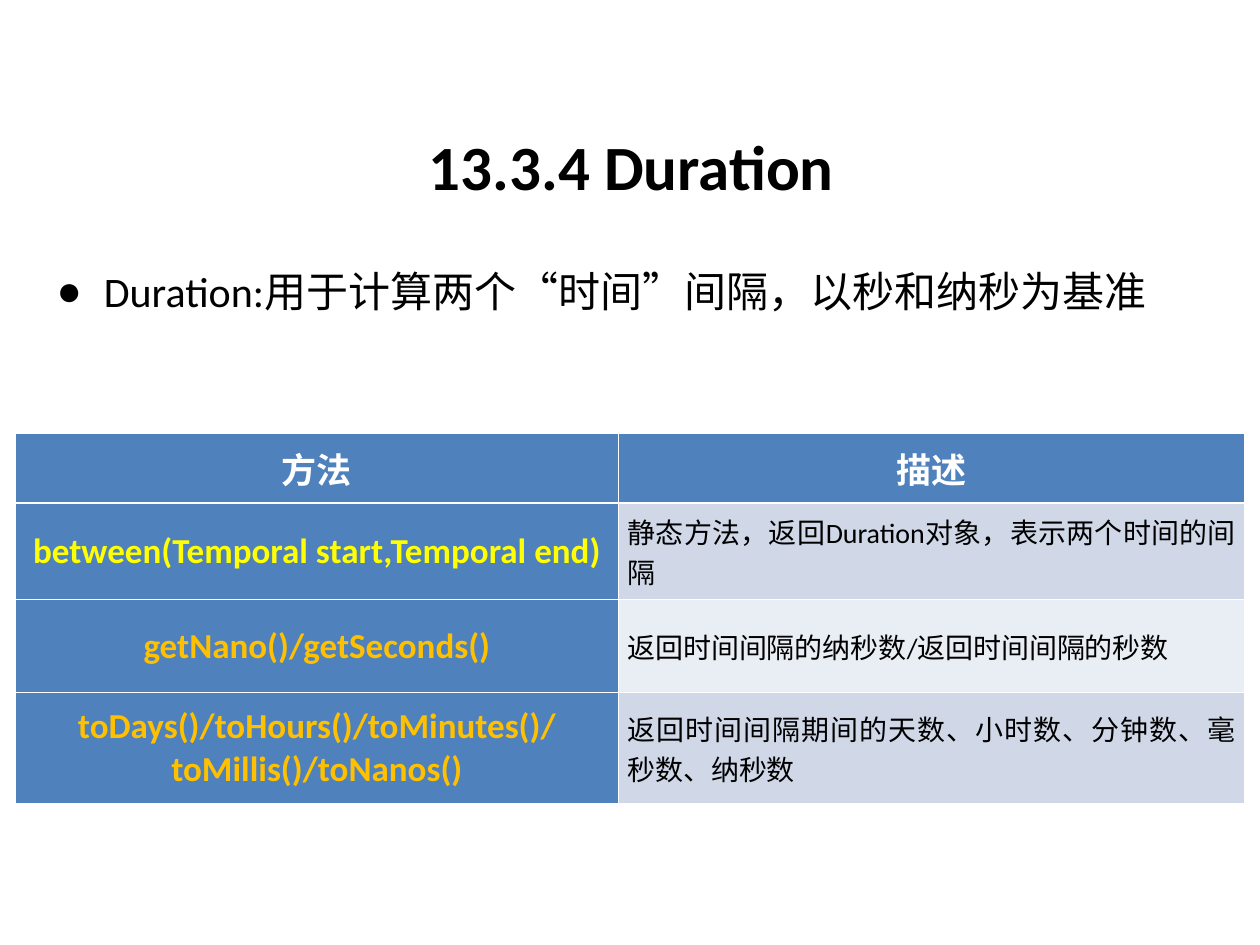
from lxml import etree
from pptx import Presentation
from pptx.dml.color import RGBColor
from pptx.enum.text import MSO_ANCHOR as ANCHOR, PP_ALIGN as ALIGN
from pptx.oxml.ns import qn
from pptx.util import Cm, Pt


def rgb(color):
    return RGBColor.from_string(color)


def set_font(p, size, color, bold=False):
    p.font.name = "Calibri"
    p.font.size = Pt(size)
    p.font.bold = bold
    p.font.color.rgb = rgb(color)


prs = Presentation()
prs.slide_width, prs.slide_height = Cm(25.4), Cm(19.05)
s = prs.slides.add_slide(prs.slide_layouts[1])

title = s.shapes.title
title.left, title.top, title.width, title.height = Cm(1.3), Cm(2.13), Cm(22.86), Cm(2.39)
tf = title.text_frame
tf.text = "13.3.4 Duration"
tf.vertical_anchor = ANCHOR.MIDDLE
p = tf.paragraphs[0]
p.alignment = ALIGN.CENTER
set_font(p, 36, "000000", True)

body = s.placeholders[1]
body.left, body.top, body.width, body.height = Cm(0.89), Cm(4.72), Cm(23.39), Cm(2.01)
tf = body.text_frame
tf.text = "Duration:用于计算两个“时间”间隔，以秒和纳秒为基准"
p = tf.paragraphs[0]
p.line_spacing = 1.5
set_font(p, 24, "000000")
pPr = p._p.get_or_add_pPr()
pPr.set("marL", str(Cm(0.95)))
pPr.set("indent", str(-Cm(0.95)))
bullet = etree.Element(qn("a:buChar"), char="●")
pPr.insert_element_before(bullet, "a:tabLst", "a:defRPr", "a:extLst")

rows = [
    ("方法", "描述", "FFFFFF", "4F81BD"),
    ("between(Temporal start,Temporal end)",
     "静态方法，返回Duration对象，表示两个时间的间隔", "FFFF00", "D0D8E8"),
    ("getNano()/getSeconds()",
     "返回时间间隔的纳秒数/返回时间间隔的秒数", "FFC000", "E9EDF4"),
    ("toDays()/toHours()/toMinutes()/\ntoMillis()/toNanos()",
     "返回时间间隔期间的天数、小时数、分钟数、毫秒数、纳秒数", "FFC000", "D0D8E8"),
]
col_widths = [12.16, 12.63]
row_heights = [1.4, 1.95, 1.87, 2.25]

table = s.shapes.add_table(len(rows), 2, Cm(0.31), Cm(8.74),
                           Cm(sum(col_widths)), Cm(sum(row_heights))).table
table.first_col = True
for col, width in zip(table.columns, col_widths):
    col.width = Cm(width)

for i, (method, description, color, fill) in enumerate(rows):
    table.rows[i].height = Cm(row_heights[i])
    for j, text in enumerate((method, description)):
        heading = i == 0 or j == 0
        cell = table.cell(i, j)
        cell.text = text
        cell.vertical_anchor = ANCHOR.MIDDLE
        cell.margin_left = cell.margin_right = Cm(0.18)
        cell.margin_top = cell.margin_bottom = 0
        cell.fill.solid()
        cell.fill.fore_color.rgb = rgb("4F81BD" if heading else fill)
        for p in cell.text_frame.paragraphs:
            p.alignment = ALIGN.CENTER if heading else ALIGN.JUSTIFY
            set_font(p, 20 if heading else 16, color if heading else "000000", heading)

prs.save("out.pptx")
